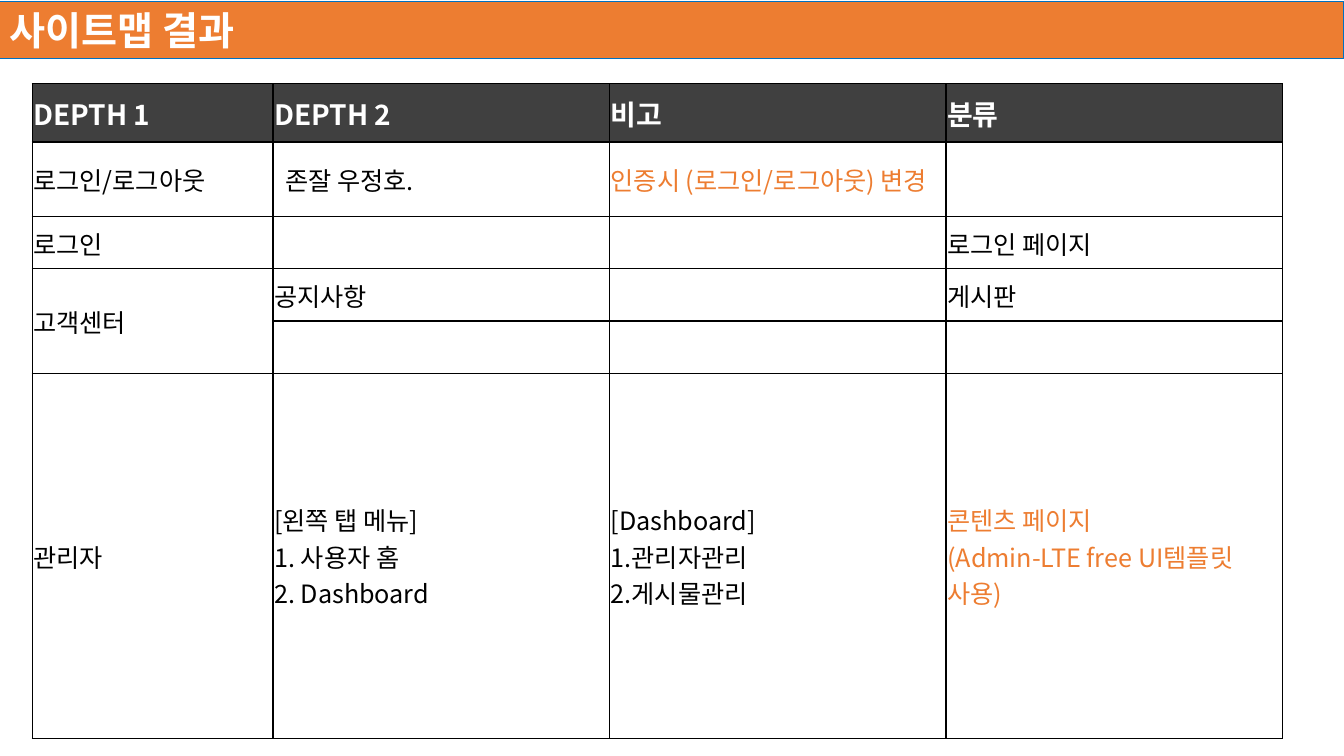
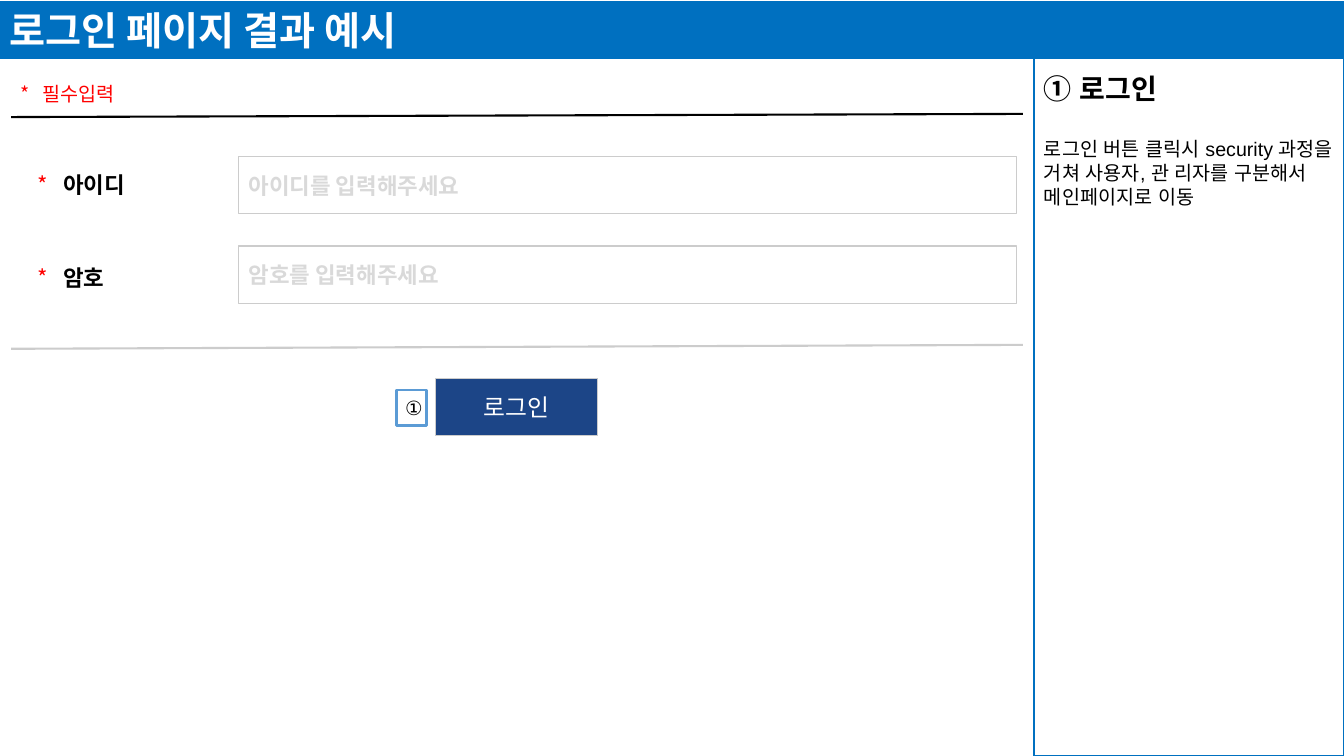
import pptx
import pptx.dml.color
import pptx.enum.shapes
import pptx.enum.text
import pptx.oxml
import pptx.oxml.ns
import pptx.util
from pptx.util import Cm

ALIGN = pptx.enum.text.PP_ALIGN
ANCHOR = pptx.enum.text.MSO_ANCHOR
SANS, ARIAL = "Noto Sans CJK KR", "Arial"
WHITE, BLACK, RED = "FFFFFF", "000000", "FF0000"
ORANGE, BLUE, NAVY, SKY = "ED7D31", "0070C0", "1C4587", "5B9BD5"
CHARCOAL, GREY, HINT = "404040", "CCCCCC", "D9D9D9"


def color(value):
    return pptx.dml.color.RGBColor.from_string(value)


def apply(target, values):
    for name, value in values.items():
        setattr(target, name, value)


def add_child(parent, tag, **attributes):
    child = pptx.oxml.parse_xml(f"<{tag} {pptx.oxml.ns.nsdecls('a')}/>")
    for name, value in attributes.items():
        child.set(name, str(value))
    parent.append(child)
    return child


class Deck:
    """Holds the shared style and the slide being filled."""

    WIDTH, HEIGHT = Cm(33.87), Cm(19.05)
    BAND_TOP, BAND_HEIGHT = Cm(0.03), Cm(1.45)
    CELL_FORMAT = {"margin_left": Cm(0.03), "margin_right": Cm(0.03),
                   "margin_top": Cm(0.03), "margin_bottom": Cm(0),
                   "vertical_anchor": ANCHOR.MIDDLE}

    def __init__(self):
        self.presentation = pptx.Presentation()
        apply(self.presentation, {"slide_width": self.WIDTH, "slide_height": self.HEIGHT})
        self.slide = None

    def add_slide(self):
        self.slide = self.presentation.slides.add_slide(self.presentation.slide_layouts[6])

    def band(self, title, fill):
        self.box(0, self.BAND_TOP, self.WIDTH, self.BAND_HEIGHT, fill, BLUE, 0.75,
                 [(title, {"size": 28, "value": WHITE, "bold": True})])

    def add_run(self, paragraph, text, size=18, value=BLACK, bold=False, font=SANS):
        run = paragraph.add_run()
        run.text = text
        apply(run.font, {"size": pptx.util.Pt(size), "bold": bold, "name": font})
        run.font.color.rgb = color(value)
        add_child(run.font._element, "a:ea", typeface=font)

    def fill_text(self, frame, runs, **paragraph_format):
        """Fills the first paragraph of a frame with (text, style) runs."""
        paragraph = frame.paragraphs[0]
        apply(paragraph, paragraph_format)
        for text, style in runs:
            self.add_run(paragraph, text, **style)
        return paragraph

    def box(self, left, top, width, height, fill, line, weight, runs=(),
            alignment=ALIGN.LEFT, **frame_format):
        shape = self.slide.shapes.add_shape(
            pptx.enum.shapes.MSO_SHAPE.RECTANGLE, left, top, width, height)
        shape.shadow.inherit = False
        if fill:
            shape.fill.solid()
            shape.fill.fore_color.rgb = color(fill)
        else:
            shape.fill.background()
        shape.line.color.rgb = color(line)
        shape.line.width = pptx.util.Pt(weight)
        apply(shape.text_frame, {"word_wrap": True, "vertical_anchor": ANCHOR.MIDDLE,
                                 **frame_format})
        self.fill_text(shape.text_frame, runs, alignment=alignment)

    def text(self, left, top, width, height, runs, **frame_format):
        frame = self.slide.shapes.add_textbox(left, top, width, height).text_frame
        apply(frame, {"word_wrap": True, **frame_format})
        return frame, self.fill_text(frame, runs)

    def required_label(self, left, top, width, height, label, indent, **style):
        """A red asterisk, then a label set off by a hanging indent."""
        size = style["size"]
        _, paragraph = self.text(
            left, top, width, height,
            [("*", {"size": size, "value": RED}), ("\t" + label, style)],
            vertical_anchor=ANCHOR.MIDDLE)
        properties = paragraph._p.get_or_add_pPr()
        for name, value in {"marL": indent, "indent": -indent}.items():
            properties.set(name, str(int(value)))

    def rule(self, left, start, right, end, value):
        connector = self.slide.shapes.add_connector(
            pptx.enum.shapes.MSO_CONNECTOR.STRAIGHT, left, start, right, end)
        connector.line.color.rgb = color(value)
        connector.line.width = pptx.util.Pt(1.5)
        add_child(connector._element.spPr, "a:effectLst")

    def border(self, cell):
        properties = cell._tc.get_or_add_tcPr()
        for index, side in enumerate(("lnL", "lnR", "lnT", "lnB")):
            line = add_child(properties, f"a:{side}", w=int(pptx.util.Pt(1)))
            add_child(add_child(line, "a:solidFill"), "a:srgbClr", val=BLACK)
            properties.remove(line)
            properties.insert(index, line)

    def table(self, left, top, widths, heights, rows, merges, accents, indents):
        """Merges are (column, first row, last row); accents are orange cells."""
        table = self.slide.shapes.add_table(
            len(heights), len(widths), left, top, sum(widths), sum(heights)).table
        for column, width in zip(table.columns, widths):
            column.width = width
        for row, height in zip(table.rows, heights):
            row.height = height
        for row in range(len(heights)):
            for column in range(len(widths)):
                cell = table.cell(row, column)
                apply(cell, self.CELL_FORMAT)
                if row == 0:
                    cell.fill.solid()
                    cell.fill.fore_color.rgb = color(CHARCOAL)
                    style = {"size": 20, "value": WHITE, "bold": True}
                else:
                    cell.fill.background()
                    style = {"value": ORANGE if (row, column) in accents else BLACK}
                self.border(cell)
                content = rows[row][column] if row < len(rows) else ""
                if content:
                    frame = cell.text_frame
                    first, *others = content.split("\n")
                    self.fill_text(frame, [(first, style)])
                    for line in others:
                        self.add_run(frame.add_paragraph(), line, **style)
        for (row, column), margin in indents.items():
            table.cell(row, column).margin_left = margin
        for column, first, last in merges:
            table.cell(first, column).merge(table.cell(last, column))


def build_sitemap(deck):
    deck.add_slide()
    rows = [
        ("DEPTH 1", "DEPTH 2", "비고", "분류"),
        ("로그인/로그아웃", "존잘 우정호.", "인증시 (로그인/로그아웃) 변경", ""),
        ("로그인", "", "", "로그인 페이지"),
        ("고객센터", "공지사항", "", "게시판"),
        ("", "", "", ""),
        ("관리자", "[왼쪽 탭 메뉴]\n1. 사용자 홈\n2. Dashboard",
         "[Dashboard]\n1.관리자관리\n2.게시물관리",
         "콘텐츠 페이지\n(Admin-LTE free UI템플릿 사용)"),
    ]
    row_height = Cm(1.32)
    heights = [Cm(1.47)] + [row_height] * 4 + [Cm(3.91)] + [row_height] * 4
    deck.table(Cm(0.81), Cm(2.11), [Cm(6.07)] + [Cm(8.48)] * 3, heights, rows,
               merges=[(0, 3, 4)] + [(column, 5, 9) for column in range(4)],
               accents={(1, 2), (5, 3)}, indents={(1, 1): Cm(0.31)})
    deck.band("사이트맵 결과", ORANGE)


def build_login(deck):
    deck.add_slide()
    panel_left, panel_width = Cm(26.06), Cm(7.8)
    deck.box(panel_left, Cm(1.47), panel_width, Cm(17.58), None, BLUE, 1)
    deck.band("로그인 페이지 결과 예시", BLUE)

    deck.required_label(Cm(0.28), Cm(1.86), Cm(3.48), Cm(1.02), "필수입력", Cm(0.53),
                        size=14, value=RED)
    for start, end, value in ((2.95, 2.87, BLACK), (8.79, 8.69, GREY)):
        deck.rule(Cm(0.28), Cm(start), Cm(25.78), Cm(end), value)

    fields = (("아이디", "아이디를 입력해주세요", 3.94, 4.04),
              ("암호", "암호를 입력해주세요", 6.2, 6.38))
    for label, hint, field_top, label_top in fields:
        deck.box(Cm(6.02), Cm(field_top), Cm(19.61), Cm(1.45), None, GREY, 0.75,
                 [(hint, {"size": 16, "value": HINT, "bold": True})])
        deck.required_label(Cm(0.69), Cm(label_top), Cm(3.07), Cm(1.22), label, Cm(0.66),
                            size=16, bold=True)

    deck.box(Cm(10.97), Cm(9.53), Cm(4.09), Cm(1.45), NAVY, GREY, 0.75,
             [("로그인", {"size": 17, "value": WHITE})], ALIGN.CENTER)
    deck.box(Cm(10), Cm(9.83), Cm(0.76), Cm(0.89), WHITE, SKY, 2,
             [("①", {"size": 14, "font": ARIAL})], ALIGN.CENTER,
             margin_left=Cm(0.1), margin_right=Cm(0))

    frame, heading = deck.text(panel_left, Cm(1.68), panel_width, Cm(3.76),
                               [("① 로그인", {"size": 20, "bold": True, "font": ARIAL})])
    heading.space_after = pptx.util.Pt(23)
    deck.add_run(frame.add_paragraph(),
                 "로그인 버튼 클릭시 security 과정을 거쳐 사용자, 관 리자를 구분해서 메인페이지로 이동",
                 size=14, font=ARIAL)


def main():
    deck = Deck()
    build_sitemap(deck)
    build_login(deck)
    deck.presentation.save("out.pptx")


if __name__ == "__main__":
    main()
